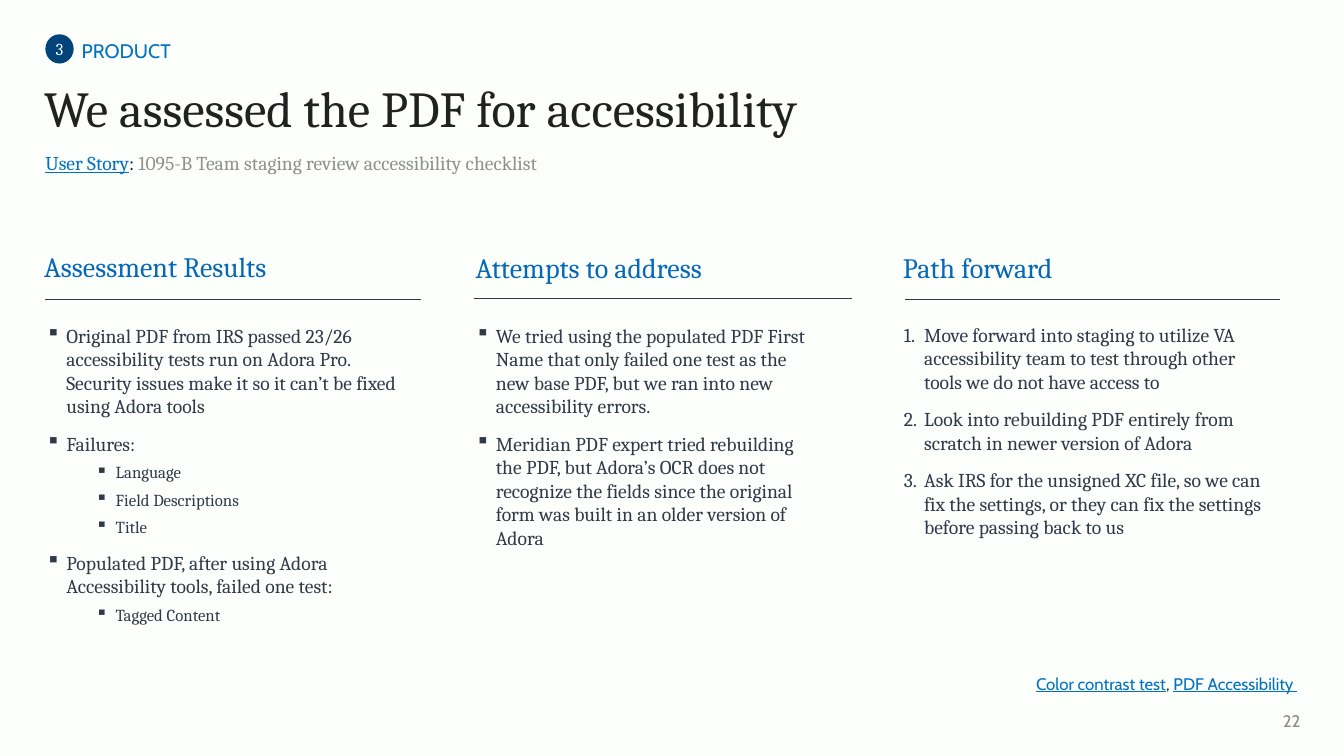
from dataclasses import dataclass

from lxml.etree import SubElement
from pptx import Presentation
from pptx.dml.color import RGBColor
from pptx.enum.shapes import MSO_CONNECTOR as Connector, MSO_SHAPE as Preset
from pptx.enum.text import MSO_ANCHOR as Anchor, PP_ALIGN as Align
from pptx.oxml.ns import qn
from pptx.util import Pt


@dataclass(frozen=True)
class Theme:
    background: str = "FDFFFD"
    ink: str = "202120"
    body: str = "303A46"
    heading: str = "0467B8"
    link: str = "0071C0"
    section: str = "0071BF"
    badge: str = "014479"
    white: str = "FFFFFF"
    muted: str = "8F8F8F"
    page: str = "8A8A8A"
    serif: str = "Cambria"
    sans: str = "Cabin"
    title_size: int = 36
    heading_size: int = 20
    text_size: int = 14
    small_size: int = 12


THEME = Theme()


@dataclass(frozen=True)
class Box:
    left: float
    top: float
    width: float
    height: float


@dataclass(frozen=True)
class Span:
    text: str
    color: str
    size: int = THEME.text_size
    font: str = THEME.serif
    underline: bool = False


@dataclass(frozen=True)
class Item:
    text: str
    level: int = 0


@dataclass(frozen=True)
class Column:
    heading: str
    heading_box: Box
    rule_left: float
    rule_right: float
    rule_top: float
    body_box: Box
    indent: float
    items: tuple[Item, ...]
    numbered: bool = False


HANGING = 14.4
SUB_INDENT = 57.6
INSET = (7.2, 3.6)

COLUMNS = (
    Column(
        "Assessment Results", Box(24.5, 177.1, 240, 38.9), 32.4, 301, 213.8,
        Box(18, 227.5, 283, 234.7), 22.3,
        (
            Item("Original PDF from IRS passed 23/26 accessibility tests run on Adora Pro. "
                 "Security issues make it so it can’t be fixed using Adora tools"),
            Item("Failures:"),
            Item("Language", 2),
            Item("Field Descriptions", 2),
            Item("Title", 2),
            Item("Populated PDF, after using Adora Accessibility tools, failed one test:"),
            Item("Tagged Content", 1),
        ),
    ),
    Column(
        "Attempts to address", Box(332.6, 177.8, 244.8, 38.9), 338.4, 608.4, 213.1,
        Box(319.7, 227.5, 274.3, 180), 27.4,
        (
            Item("We tried using the populated PDF First Name that only failed one test "
                 "as the new base PDF, but we ran into new accessibility errors."),
            Item("Meridian PDF expert tried rebuilding the PDF, but Adora’s OCR does not "
                 "recognize the fields since the original form was built in an older "
                 "version of Adora"),
        ),
    ),
    Column(
        "Path forward", Box(637.9, 177.8, 271.4, 38.9), 646.6, 914.4, 213.8,
        Box(631.4, 226.8, 282.2, 173.5), 21.6,
        (
            Item("Move forward into staging to utilize VA accessibility team to test "
                 "through other tools we do not have access to"),
            Item("Look into rebuilding PDF entirely from scratch in newer version of Adora"),
            Item("Ask IRS for the unsigned XC file, so we can fix the settings, or they "
                 "can fix the settings before passing back to us"),
        ),
        numbered=True,
    ),
)


def rgb(value: str) -> RGBColor:
    return RGBColor.from_string(value)


def place(box: Box) -> tuple[Pt, ...]:
    return Pt(box.left), Pt(box.top), Pt(box.width), Pt(box.height)


def prepare_frame(shape, inset: tuple[float, float], anchor: Anchor):
    frame = shape.text_frame
    frame.word_wrap = True
    frame.vertical_anchor = anchor
    frame.margin_left = frame.margin_right = Pt(inset[0])
    frame.margin_top = frame.margin_bottom = Pt(inset[1])
    return frame


def add_run(paragraph, span: Span) -> None:
    run = paragraph.add_run()
    run.text = span.text
    run.font.name = span.font
    run.font.size = Pt(span.size)
    run.font.color.rgb = rgb(span.color)
    if span.underline:
        run.font.underline = True


def add_text(slide, box: Box, *spans: Span, inset: tuple[float, float] = INSET,
             anchor: Anchor = Anchor.TOP, align: Align = Align.LEFT,
             line_spacing: float = 1.0) -> None:
    frame = prepare_frame(slide.shapes.add_textbox(*place(box)), inset, anchor)
    paragraph = frame.paragraphs[0]
    paragraph.alignment = align
    paragraph.line_spacing = line_spacing
    for span in spans:
        add_run(paragraph, span)


def add_marker(paragraph, indent: float, numbered: bool) -> None:
    properties = paragraph._p.get_or_add_pPr()
    properties.set("marL", str(Pt(indent)))
    properties.set("indent", str(-Pt(HANGING)))
    color = SubElement(properties, qn("a:buClr"))
    SubElement(color, qn("a:srgbClr"), val=THEME.body)
    if numbered:
        SubElement(properties, qn("a:buAutoNum"), type="arabicPeriod")
    else:
        SubElement(properties, qn("a:buChar"), char="▪")


def add_list(slide, column: Column) -> None:
    frame = prepare_frame(slide.shapes.add_textbox(*place(column.body_box)), INSET, Anchor.TOP)
    for index, item in enumerate(column.items):
        paragraph = frame.add_paragraph() if index else frame.paragraphs[0]
        paragraph.level = item.level
        if index:
            paragraph.space_before = Pt(5 if item.level else 10)
        add_marker(paragraph, SUB_INDENT if item.level else column.indent, column.numbered)
        size = THEME.small_size if item.level else THEME.text_size
        add_run(paragraph, Span(item.text, THEME.body, size))


def add_rule(slide, left: float, right: float, top: float) -> None:
    rule = slide.shapes.add_connector(Connector.STRAIGHT, Pt(left), Pt(top), Pt(right), Pt(top))
    rule.line.color.rgb = rgb(THEME.body)
    rule.line.width = Pt(1)
    SubElement(rule._element.spPr, qn("a:effectLst"))


def add_badge(slide, box: Box, number: str) -> None:
    badge = slide.shapes.add_shape(Preset.OVAL, *place(box))
    badge.shadow.inherit = False
    badge.fill.solid()
    badge.fill.fore_color.rgb = rgb(THEME.badge)
    badge.line.fill.background()
    paragraph = prepare_frame(badge, (0, 0), Anchor.MIDDLE).paragraphs[0]
    paragraph.alignment = Align.CENTER
    add_run(paragraph, Span(number, THEME.white, THEME.small_size))


def main() -> None:
    presentation = Presentation()
    presentation.slide_width, presentation.slide_height = Pt(960), Pt(540)
    slide = presentation.slides.add_slide(presentation.slide_layouts[6])
    slide.background.fill.solid()
    slide.background.fill.fore_color.rgb = rgb(THEME.background)

    # Section marker, title and subtitle
    add_badge(slide, Box(32.4, 24.5, 20.2, 20.9), "3")
    add_text(slide, Box(58.3, 24.5, 380, 28.8),
             Span("PRODUCT", THEME.section, font=THEME.sans), inset=(0, 3.6))
    add_text(slide, Box(24.5, 56.2, 894, 59),
             Span("We assessed the PDF for accessibility", THEME.ink, THEME.title_size),
             line_spacing=0.9)
    add_text(slide, Box(32.4, 105.1, 894, 19.4),
             Span("User Story", THEME.link, underline=True), Span(": ", THEME.ink),
             Span("1095-B Team staging review accessibility checklist", THEME.muted),
             inset=(0, 0), line_spacing=1.15)

    # Three columns
    for column in COLUMNS:
        add_text(slide, column.heading_box,
                 Span(column.heading, THEME.heading, THEME.heading_size), line_spacing=0.9)
        add_rule(slide, column.rule_left, column.rule_right, column.rule_top)
        add_list(slide, column)

    # References and page number
    small = THEME.small_size
    add_text(slide, Box(663.1, 477.4, 270.7, 21.6),
             Span("Color contrast test", THEME.link, small, THEME.sans, True),
             Span(", ", THEME.ink, small, THEME.sans),
             Span("PDF Accessibility ", THEME.link, small, THEME.sans, True), align=Align.RIGHT)
    add_text(slide, Box(904.3, 500.4, 31.7, 28.8), Span("22", THEME.page, small, THEME.sans),
             anchor=Anchor.MIDDLE, align=Align.RIGHT)

    presentation.save("out.pptx")


if __name__ == "__main__":
    main()
